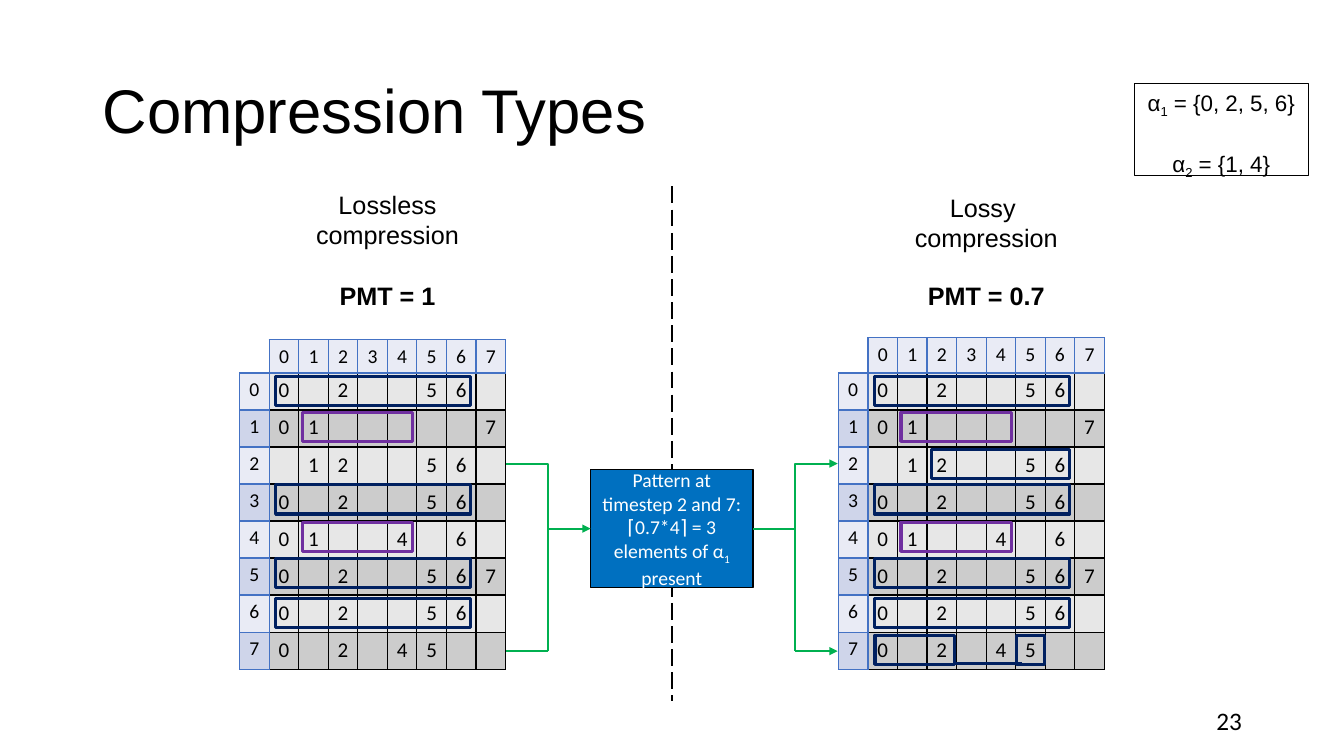
from lxml import etree
from pptx import Presentation
from pptx.dml.color import RGBColor
from pptx.enum.dml import MSO_LINE
from pptx.enum.shapes import MSO_CONNECTOR, MSO_SHAPE
from pptx.enum.text import MSO_ANCHOR, PP_ALIGN
from pptx.oxml.ns import qn
from pptx.util import Inches, Pt

BLACK = RGBColor(0, 0, 0)
WHITE = RGBColor(255, 255, 255)
NAVY = RGBColor(0x00, 0x20, 0x60)
PURPLE = RGBColor(0x70, 0x30, 0xA0)
GREEN = RGBColor(0x00, 0xB0, 0x50)
BLUE = RGBColor(0x00, 0x70, 0xC0)
EDGE = RGBColor(0x44, 0x72, 0xC4)
GREYS = (RGBColor(0xE7, 0xE7, 0xE7), RGBColor(0xCC, 0xCC, 0xCC))
TINTS = (RGBColor(0xE9, 0xEB, 0xF5), RGBColor(0xCF, 0xD5, 0xEA))
LEFT, MID, RIGHT = PP_ALIGN.LEFT, PP_ALIGN.CENTER, PP_ALIGN.RIGHT
TOP, CENTRE = MSO_ANCHOR.TOP, MSO_ANCHOR.MIDDLE
BOX, DASH = MSO_SHAPE.RECTANGLE, MSO_LINE.LONG_DASH
LINE, BENT = MSO_CONNECTOR.STRAIGHT, MSO_CONNECTOR.ELBOW

WIDTH, HEIGHT = Inches(13.33), Inches(7.5)
COL, ROW, GRID = 2.2, 4.9, 49.33
SIZE = 8
STEPS = ("0256", "017", "1256", "0256", "0146", "02567", "0256", "0245")
FULL = [(0.22, row, 6.6, NAVY) for row in (0.1, 3.02, 5.01, 6.08)]
PAIR = [(1.12, row, 3.74, PURPLE) for row in (1.06, 4.03)]
PART = [(2.14, 2.07, 4.69, NAVY), (0.24, 7.08, 2.69, NAVY), (5.03, 7.08, 0.95, NAVY)]


def across(share):
    """Turn a percentage of the slide's width into a length."""
    return int(WIDTH * share / 100)


def down(share):
    """Turn a percentage of the slide's height into a length."""
    return int(HEIGHT * share / 100)


def area(left, top, width, height):
    """Turn four percentages into a place on the slide."""
    return across(left), down(top), across(width), down(height)


def write(frame, lines, size, face="Arial", color=BLACK, bold=False, align=MID,
          anchor=TOP, gap=0, pitch=None):
    """Write lines of text; every second part of a tuple is a subscript."""
    frame.word_wrap = True
    frame.vertical_anchor = anchor
    for i, line in enumerate(lines):
        para = frame.paragraphs[0] if i == 0 else frame.add_paragraph()
        para.alignment = align
        if i and gap:
            para.space_before = Pt(gap)
        if pitch:
            para.line_spacing = pitch
        font = para.font
        font.name, font.size, font.bold = face, Pt(size), bold
        font.color.rgb = color
        for j, part in enumerate((line,) if isinstance(line, str) else line):
            run = para.add_run()
            run.text = part
            if j % 2:
                run._r.get_or_add_rPr().set("baseline", "-25000")


def label(slide, place, lines, size, **style):
    """Add a text box."""
    write(slide.shapes.add_textbox(*area(*place)).text_frame, lines, size, **style)


def box(slide, place, color, weight, fill=None):
    """Add an outlined rectangle and return it."""
    shape = slide.shapes.add_shape(BOX, *area(*place))
    shape.shadow.inherit = False
    if fill is None:
        shape.fill.background()
    else:
        shape.fill.solid()
        shape.fill.fore_color.rgb = fill
    shape.line.color.rgb = color
    shape.line.width = Pt(weight)
    return shape


def link(slide, start, end, color, weight=1.5, kind=LINE, arrow=False, dash=None):
    """Add a line between two points."""
    item = slide.shapes.add_connector(kind, across(start[0]), down(start[1]),
                                      across(end[0]), down(end[1]))
    item.line.color.rgb = color
    item.line.width = Pt(weight)
    if dash:
        item.line.dash_style = dash
    if arrow:
        etree.SubElement(item.line._get_or_add_ln(), qn("a:tailEnd"), type="triangle")
    etree.SubElement(item._element.spPr, qn("a:effectLst"))


def border(cell, color):
    """Draw a thin line on all four sides of a cell."""
    props = cell._tc.get_or_add_tcPr()
    for i, side in enumerate(("lnL", "lnR", "lnT", "lnB")):
        line = etree.Element(qn("a:" + side), w=str(Pt(1)))
        fill = etree.SubElement(line, qn("a:solidFill"))
        etree.SubElement(fill, qn("a:srgbClr"), val=str(color))
        props.insert(i, line)


def table(slide, left, top, rows, high, size, fills, edge):
    """Add a table of single digits with banded rows."""
    wide = len(rows[0])
    place = area(left, top, wide * COL, len(rows) * high)
    grid = slide.shapes.add_table(len(rows), wide, *place).table
    grid.first_row = grid.horz_banding = False
    for col in grid.columns:
        col.width = across(COL)
    for i, row in enumerate(rows):
        grid.rows[i].height = down(high)
        for j, text in enumerate(row):
            cell = grid.cell(i, j)
            cell.margin_left = cell.margin_right = cell.margin_bottom = 0
            cell.fill.solid()
            cell.fill.fore_color.rgb = fills[i % 2]
            border(cell, edge)
            write(cell.text_frame, [text] if text else [()], size, face="Calibri")


def panel(slide, left, name, top, rate, head, marks):
    """Add one compression type: headings, matrix and marked patterns."""
    wide = SIZE * COL
    digits = [str(n) for n in range(SIZE)]
    cells = [[d if d in step else "" for d in digits] for step in STEPS]
    table(slide, left, GRID, cells, ROW, 15, GREYS, BLACK)
    table(slide, left, GRID - head, [digits], head, 14, TINTS, EDGE)
    table(slide, left - COL, GRID, [[d] for d in digits], ROW, 14, TINTS, EDGE)
    label(slide, (left - 1.06, top, 19.73, 9.47), name, 18)
    label(slide, (left, 36.4, wide, 5.33), [rate], 18, bold=True)
    for col, row, span, color in marks:
        place = (left + col * COL, GRID + row * ROW, span * COL, 3.87)
        box(slide, place, color, 2.25)


def main():
    """Build the slide and save it."""
    deck = Presentation()
    deck.slide_width, deck.slide_height = WIDTH, HEIGHT
    slide = deck.slides.add_slide(deck.slide_layouts[6])
    label(slide, (6.9, 5.33, 86.25, 19.33), ["Compression Types"], 44,
          align=LEFT, anchor=CENTRE, pitch=0.9)
    label(slide, (70.65, 92.67, 22.5, 5.33), ["23"], 18, face="Calibri",
          align=RIGHT, anchor=CENTRE)
    panel(slide, 20.03, ["Lossless compression"], 24.4, "PMT = 1", 4.4, FULL + PAIR)
    panel(slide, 64.58, ["Lossy ", "compression"], 24.8, "PMT = 0.7", 4.67,
          FULL + PAIR + PART)
    link(slide, (70.95, 87.73), (76.05, 87.73), NAVY, 2.25)
    link(slide, (50, 24.67), (50, 92.67), BLACK, dash=DASH)

    sets = box(slide, (84.38, 11.07, 12.98, 12.13), BLACK, 0.75)
    write(sets.text_frame, [("α", "1", " = {0, 2, 5, 6}"), ("α", "2", " = {1, 4}")],
          16, gap=22)
    note = box(slide, (43.95, 62.13, 12.08, 15.6), BLACK, 1, BLUE)
    write(note.text_frame, ["Pattern at timestep 2 and 7: ⌈0.7*4⌉ = 3",
                            ("elements of α", "1", " present")],
          14, face="Calibri", color=WHITE, anchor=CENTRE)

    high, mid, low = 61.33, 69.93, 86.13
    link(slide, (37.65, high), (43.95, mid), GREEN, kind=BENT, arrow=True)
    link(slide, (40.8, mid), (40.8, low), GREEN)
    link(slide, (40.8, low), (37.65, low), GREEN)
    link(slide, (56.03, mid), (62.33, high), GREEN, kind=BENT, arrow=True)
    link(slide, (59.18, mid), (59.18, low), GREEN)
    link(slide, (59.18, low), (62.33, low), GREEN, arrow=True)
    deck.save("out.pptx")


if __name__ == "__main__":
    main()
